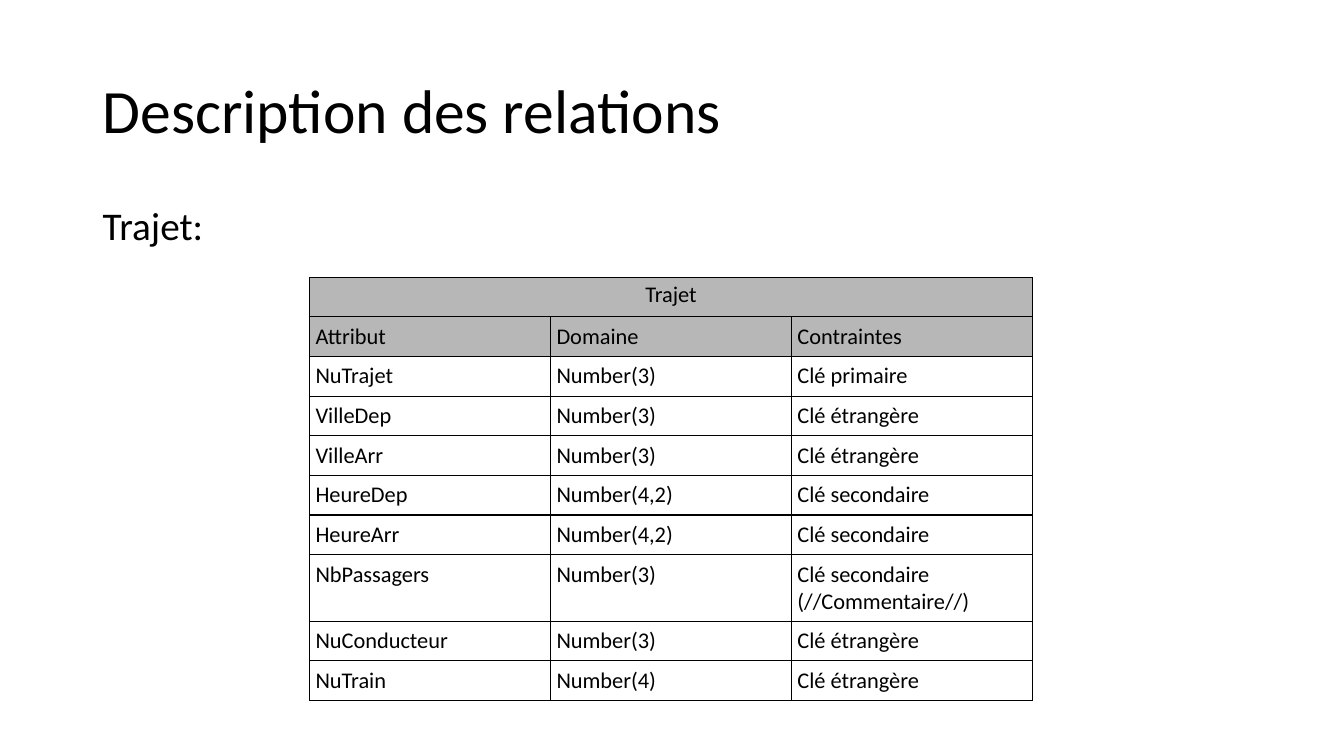
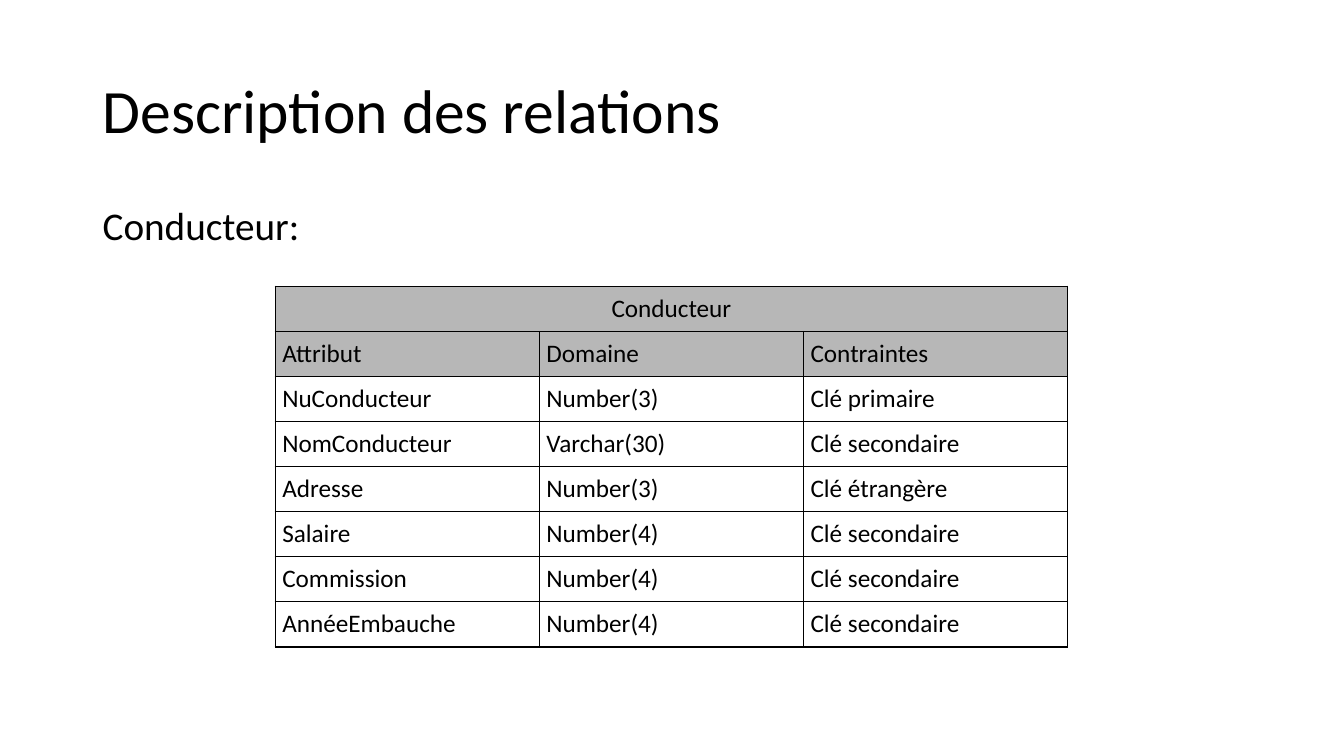
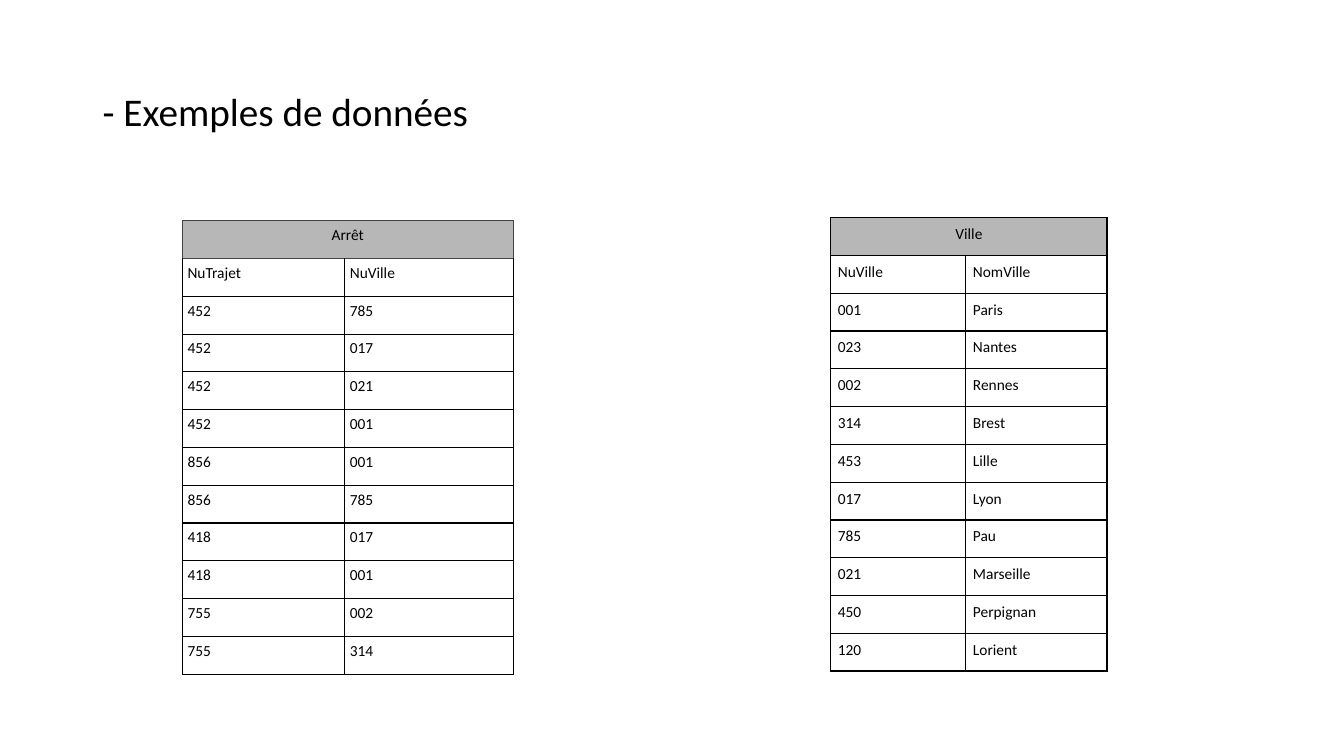
from lxml import etree
from pptx import Presentation
from pptx import util as u
from pptx.dml.color import RGBColor
from pptx.enum import text
from pptx.oxml.ns import qn


class Theme:
    font = "Calibri"
    ink = RGBColor.from_string("000000")
    header = RGBColor.from_string("B7B7B7")
    border, soft_border = "000000", "434343"
    border_width = u.Pt(1)
    title, heading, example = 44, 28, 11
    left, title_width = 0.92, 11.5


def add_text(frame, words, size):
    paragraph = frame.paragraphs[0]
    run = paragraph.add_run()
    run.text = words
    run.font.name = Theme.font
    run.font.size = u.Pt(size)
    run.font.color.rgb = Theme.ink
    return paragraph


def add_grid(slide, left, top, widths, height, title, rows, size, inset,
             header_rows=1, title_inset=None, title_border=Theme.border, tall_rows=None):
    """Add a bordered table whose first row is one merged title cell."""
    tall_rows = tall_rows or {}
    row_count = len(rows) + 1
    row_height = (height - sum(tall_rows.values())) / (row_count - len(tall_rows))
    table = slide.shapes.add_table(
        row_count, len(widths), u.Inches(left), u.Inches(top),
        u.Inches(sum(widths)), u.Inches(height)).table
    table.first_row = table.horz_banding = False
    for column, width in zip(table.columns, widths):
        column.width = u.Inches(width)
    for index, row in enumerate(table.rows):
        row.height = u.Inches(tall_rows.get(index, row_height))
    table.cell(0, 0).merge(table.cell(0, len(widths) - 1))

    for r, values in enumerate([[title] + [""] * (len(widths) - 1)] + rows):
        across, down = title_inset if r == 0 and title_inset else (inset, inset)
        for c, value in enumerate(values):
            cell = table.cell(r, c)
            cell.margin_left = cell.margin_right = u.Inches(across)
            cell.margin_top = cell.margin_bottom = u.Inches(down)
            # Cell borders come before the fill in the XML
            for side in ("lnL", "lnR", "lnT", "lnB"):
                soft = r == 0 or (r == 1 and side == "lnT")
                line = etree.SubElement(cell._tc.get_or_add_tcPr(), qn(f"a:{side}"),
                                        w=str(Theme.border_width))
                fill = etree.SubElement(line, qn("a:solidFill"))
                etree.SubElement(fill, qn("a:srgbClr"),
                                 val=title_border if soft else Theme.border)
            if r < header_rows:
                cell.fill.solid()
                cell.fill.fore_color.rgb = Theme.header
            else:
                cell.fill.background()
            if value:
                paragraph = add_text(cell.text_frame, value, size)
                if r == 0:
                    paragraph.alignment = text.PP_ALIGN.CENTER


presentation = Presentation()
presentation.slide_width = u.Inches(13.33)
presentation.slide_height = u.Inches(7.5)

columns = ["Attribut", "Domaine", "Contraintes"]
primary, foreign, secondary = "Clé primaire", "Clé étrangère", "Clé secondaire"

journey = dict(
    left=3.07, top=2.75, widths=[2.39] * 3, height=4.2, title="Trajet",
    size=16, inset=0.06, header_rows=2, title_inset=(0.09, 0.04), tall_rows={7: 0.66},
    rows=[
        columns,
        ["NuTrajet", "Number(3)", primary],
        ["VilleDep", "Number(3)", foreign],
        ["VilleArr", "Number(3)", foreign],
        ["HeureDep", "Number(4,2)", secondary],
        ["HeureArr", "Number(4,2)", secondary],
        ["NbPassagers", "Number(3)", secondary + " (//Commentaire//)"],
        ["NuConducteur", "Number(3)", foreign],
        ["NuTrain", "Number(4)", foreign],
    ])

driver = dict(
    left=2.73, top=2.84, widths=[2.62] * 3, height=3.58, title="Conducteur",
    size=18, inset=0.07, header_rows=2,
    rows=[
        columns,
        ["NuConducteur", "Number(3)", primary],
        ["NomConducteur", "Varchar(30)", secondary],
        ["Adresse", "Number(3)", foreign],
        ["Salaire", "Number(4)", secondary],
        ["Commission", "Number(4)", secondary],
        ["AnnéeEmbauche", "Number(4)", secondary],
    ])

stops = dict(
    left=1.81, top=2.19, widths=[1.61, 1.67], height=4.5, title="Arrêt",
    size=Theme.example, inset=0.05, title_border=Theme.soft_border,
    rows=[
        ["NuTrajet", "NuVille"],
        ["452", "785"], ["452", "017"], ["452", "021"], ["452", "001"],
        ["856", "001"], ["856", "785"], ["418", "017"], ["418", "001"],
        ["755", "002"], ["755", "314"],
    ])

cities = dict(
    left=8.24, top=2.16, widths=[1.34, 1.4], height=4.5, title="Ville",
    size=Theme.example, inset=0.07,
    rows=[
        ["NuVille", "NomVille"],
        ["001", "Paris"], ["023", "Nantes"], ["002", "Rennes"], ["314", "Brest"],
        ["453", "Lille"], ["017", "Lyon"], ["785", "Pau"], ["021", "Marseille"],
        ["450", "Perpignan"], ["120", "Lorient"],
    ])

# Title, title size, heading with its width, tables
pages = [
    ("Description des relations", Theme.title, ("Trajet:", 1.36), [journey]),
    ("Description des relations", Theme.title, ("Conducteur:", 2.75), [driver]),
    ("- Exemples de données", Theme.heading, None, [stops, cities]),
]

for title, title_size, heading, grids in pages:
    slide = presentation.slides.add_slide(presentation.slide_layouts[6])

    # Title and optional heading
    boxes = [(title, title_size, 0.4, Theme.title_width, 1.45, text.MSO_ANCHOR.MIDDLE, 0)]
    if heading:
        words, width = heading
        boxes.append((words, Theme.heading, 2, width, 0.61, text.MSO_ANCHOR.TOP, 10))
    for words, size, top, width, height, anchor, space_before in boxes:
        shape = slide.shapes.add_textbox(u.Inches(Theme.left), u.Inches(top),
                                         u.Inches(width), u.Inches(height))
        shape.text_frame.word_wrap = True
        shape.text_frame.vertical_anchor = anchor
        paragraph = add_text(shape.text_frame, words, size)
        paragraph.line_spacing = 0.9
        paragraph.space_before = u.Pt(space_before)

    # Tables
    for grid in grids:
        add_grid(slide, **grid)

presentation.save("out.pptx")
